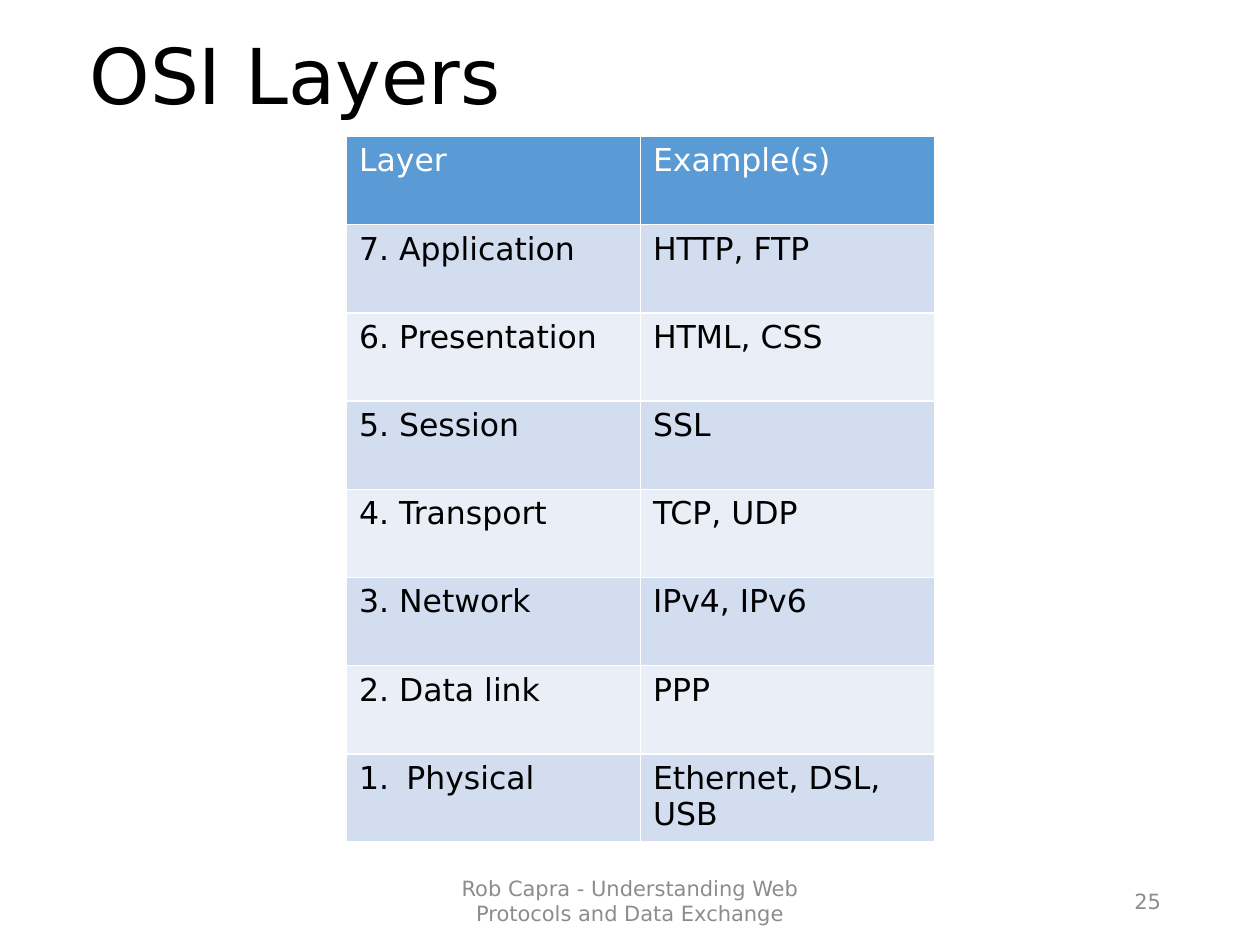
from dataclasses import dataclass
from typing import NamedTuple

from lxml.etree import SubElement as Sub
from pptx import Presentation as Deck
from pptx.dml.color import RGBColor as Color
from pptx.enum.text import MSO_ANCHOR as Anchor, MSO_AUTO_SIZE as Fit, PP_ALIGN as Align
from pptx.oxml.ns import qn
from pptx.util import Pt


@dataclass(frozen=True)
class Theme:
    font: str = "DejaVu Sans"
    black: str = "000000"
    white: str = "FFFFFF"
    gray: str = "8C8C8C"
    head: str = "5B9BD5"
    bands: tuple = ("D2DEEF", "EAEFF7")
    title: int = 44
    body: int = 18
    small: int = 12


class Box(NamedTuple):
    left: float
    top: float
    width: float
    height: float

    def points(self) -> list:
        return [Pt(n) for n in self]


class Layer(NamedTuple):
    name: str
    uses: str


class Note(NamedTuple):
    text: str
    box: Box
    align: Align


LOOK = Theme()
ROW = 50.4
TITLE = Box(43.92, 12.96, 620.64, 64.8)
GRID = Box(198, 78, 336, 8 * ROW)
INDENT = 27

LAYERS = [
    Layer("7. Application", "HTTP, FTP"),
    Layer("6. Presentation", "HTML, CSS"),
    Layer("5. Session", "SSL"),
    Layer("4. Transport", "TCP, UDP"),
    Layer("3. Network", "IPv4, IPv6"),
    Layer("2. Data link", "PPP"),
    Layer("Physical", "Ethernet, DSL, USB"),
]
NOTES = [
    Note("Rob Capra - Understanding Web Protocols and Data Exchange",
         Box(238.5, 500.5, 243, 28.75), Align.CENTER),
    Note("25", Box(508.5, 500.5, 162, 28.75), Align.RIGHT),
]


def write(frame, text: str, *, size: int = LOOK.body, color: str = LOOK.black,
          align: Align = Align.LEFT, space: float = 1.0):
    """Fill a text frame with one formatted paragraph."""
    para = frame.paragraphs[0]
    para.alignment = align
    para.line_spacing = space
    run = para.add_run()
    run.text = text
    font = run.font
    font.name, font.size, font.bold = LOOK.font, Pt(size), False
    font.color.rgb = Color.from_string(color)
    return para


def edge(cell, color: str, width: float = 1) -> None:
    """Draw all four borders of a cell."""
    props = cell._tc.get_or_add_tcPr()
    for side in ("lnL", "lnR", "lnT", "lnB"):
        line = Sub(props, qn(f"a:{side}"), w=str(Pt(width)))
        fill = Sub(line, qn("a:solidFill"))
        Sub(fill, qn("a:srgbClr"), val=color)


def number(para) -> None:
    """Turn a paragraph into a numbered item with a hanging indent."""
    props = para._p.get_or_add_pPr()
    props.set("marL", str(Pt(INDENT)))
    props.set("indent", str(-Pt(INDENT)))
    Sub(props, qn("a:buAutoNum"), type="arabicPeriod")


def draw_grid(slide, layers: list[Layer]) -> None:
    rows = [Layer("Layer", "Example(s)"), *layers]
    table = slide.shapes.add_table(len(rows), 2, *GRID.points()).table
    for r, row in enumerate(rows):
        table.rows[r].height = Pt(ROW)
        fill = LOOK.bands[(r - 1) % 2] if r else LOOK.head
        for c, text in enumerate(row):
            cell = table.cell(r, c)
            edge(cell, LOOK.white)
            cell.fill.solid()
            cell.fill.fore_color.rgb = Color.from_string(fill)
            write(cell.text_frame, text, color=LOOK.black if r else LOOK.white)
    # The last layer counts itself
    number(table.cell(len(layers), 0).text_frame.paragraphs[0])


def draw_note(slide, note: Note) -> None:
    frame = slide.shapes.add_textbox(*note.box.points()).text_frame
    frame.word_wrap = True
    frame.vertical_anchor = Anchor.MIDDLE
    write(frame, note.text, size=LOOK.small, color=LOOK.gray, align=note.align)


def main() -> None:
    deck = Deck()
    deck.slide_width, deck.slide_height = Pt(720), Pt(540)
    slide = deck.slides.add_slide(deck.slide_layouts[5])

    # Title
    title = slide.shapes.title
    title.left, title.top, title.width, title.height = TITLE.points()
    frame = title.text_frame
    frame.auto_size = Fit.NONE
    frame.vertical_anchor = Anchor.MIDDLE
    write(frame, "OSI Layers", size=LOOK.title, space=0.9)

    # Table of layers
    draw_grid(slide, LAYERS)

    # Footer and page number
    for note in NOTES:
        draw_note(slide, note)

    deck.save("out.pptx")


if __name__ == "__main__":
    main()
